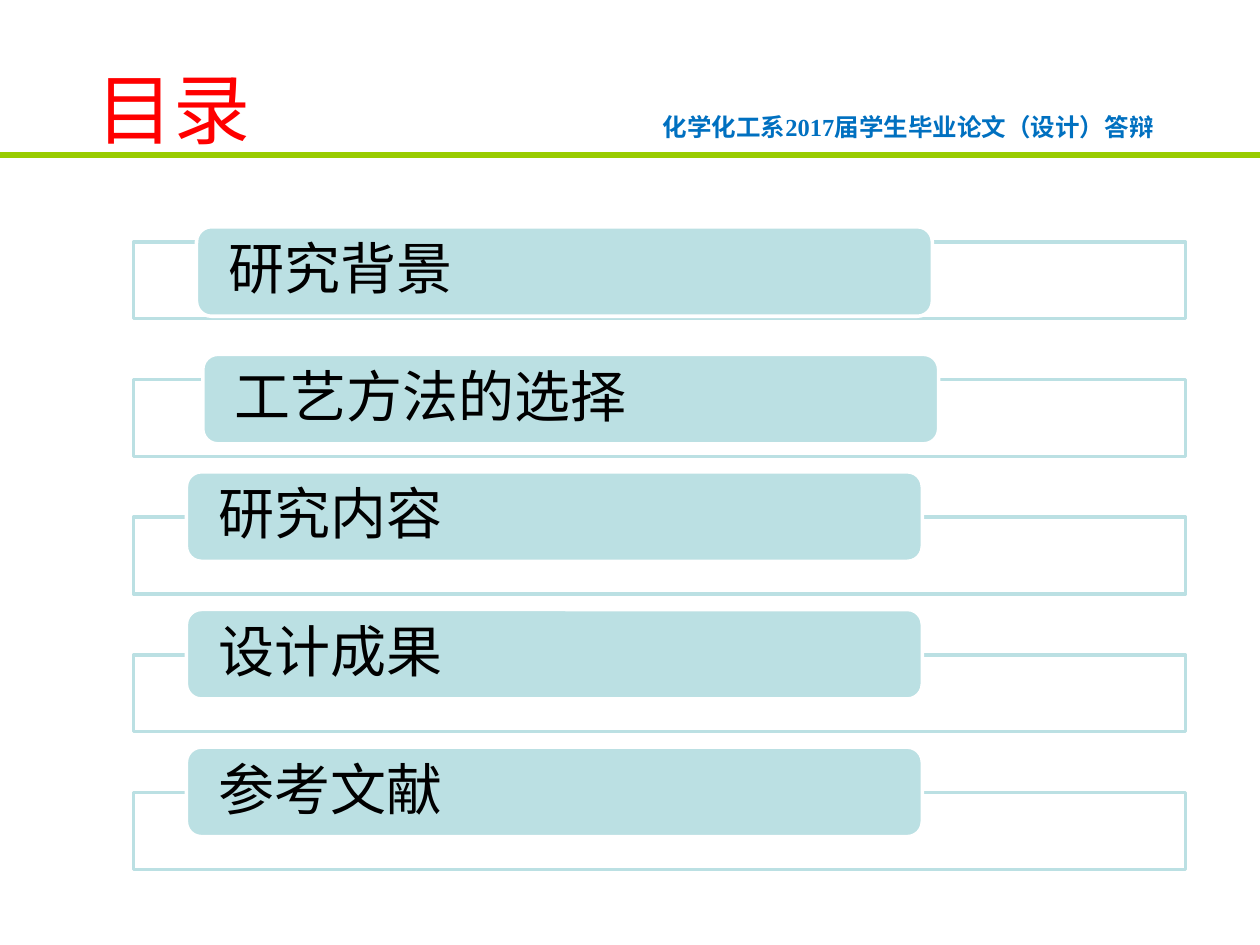
from lxml import etree
from pptx import Presentation
from pptx.dml.color import RGBColor
from pptx.enum.shapes import MSO_CONNECTOR, MSO_SHAPE
from pptx.enum.text import MSO_ANCHOR, PP_ALIGN
from pptx.oxml.ns import qn
from pptx.util import Inches, Pt

STRAIGHT = MSO_CONNECTOR.STRAIGHT
RECTANGLE = MSO_SHAPE.RECTANGLE
ROUNDED = MSO_SHAPE.ROUNDED_RECTANGLE
LEFT, CENTER = PP_ALIGN.LEFT, PP_ALIGN.CENTER
TOP, MIDDLE = MSO_ANCHOR.TOP, MSO_ANCHOR.MIDDLE

WHITE = RGBColor(0xFF, 0xFF, 0xFF)
BLACK = RGBColor(0, 0, 0)
RED = RGBColor(0xFF, 0, 0)
BLUE = RGBColor(0, 0x70, 0xC0)
GREEN = RGBColor(0x99, 0xCC, 0)
PALE_TEAL = RGBColor(0xBB, 0xE0, 0xE3)

# Section name, and the left and top offset of its label from its frame
SECTIONS = [
    ("研究背景", 0.5, -0.12),
    ("工艺方法的选择", 0.55, -0.2),
    ("研究内容", 0.42, -0.36),
    ("设计成果", 0.42, -0.36),
    ("参考文献", 0.42, -0.36),
]


def write_text(shape, text, *, size, font, color, bold=False, align=LEFT,
               anchor=TOP, margins=(0.1, 0.05), line_spacing=None):
    frame = shape.text_frame
    frame.word_wrap = True
    frame.vertical_anchor = anchor
    frame.margin_left = frame.margin_right = Inches(margins[0])
    frame.margin_top = frame.margin_bottom = Inches(margins[1])
    para = frame.paragraphs[0]
    para.alignment = align
    para.line_spacing = line_spacing
    span = para.add_run()
    span.text = text
    span.font.size = Pt(size)
    span.font.name = font
    span.font.bold = bold
    span.font.color.rgb = color


def add_text_box(page, box, text, **text_format):
    write_text(page.shapes.add_textbox(*map(Inches, box)), text, **text_format)


def add_panel(page, kind, box, fill, line):
    panel = page.shapes.add_shape(kind, *map(Inches, box))
    panel.shadow.inherit = False
    panel.fill.solid()
    panel.fill.fore_color.rgb = fill
    panel.line.color.rgb = line
    panel.line.width = Pt(2)
    return panel


def set_opacity(shape, percent):
    color = shape.fill._xPr.find(qn("a:solidFill"))[0]
    etree.SubElement(color, qn("a:alpha"), val=str(percent * 1000))


def add_header(page, left, top, width, height):
    """Place the title and the running head above a rule on the bottom edge."""
    bottom = top + height
    rule = page.shapes.add_connector(
        STRAIGHT, Inches(left), Inches(bottom), Inches(left + width), Inches(bottom))
    rule.line.color.rgb = GREEN
    rule.line.width = Pt(3)
    etree.SubElement(rule._element.spPr, qn("a:effectLst"))
    add_text_box(page, (left + 5.16, bottom - 0.39, 4.2, 0.34),
                 "化学化工系2017届学生毕业论文（设计）答辩",
                 size=14, font="Times New Roman", color=BLUE, bold=True)
    add_text_box(page, (left + 0.43, bottom - 0.79, 1.89, 0.84), "目录",
                 size=44, font="Noto Sans CJK SC", color=RED, align=CENTER)


def add_contents(page, left, top, width, height):
    """Spread the section frames evenly over the box, each with its label."""
    frame_height = 0.61
    pitch = (height - frame_height) / (len(SECTIONS) - 1)
    for index, (name, label_dx, label_dy) in enumerate(SECTIONS):
        frame_top = top + index * pitch
        frame = add_panel(page, RECTANGLE, (left, frame_top, width, frame_height),
                          WHITE, PALE_TEAL)
        set_opacity(frame, 90)
        label = add_panel(page, ROUNDED,
                          (left + label_dx, frame_top + label_dy, 5.84, 0.71),
                          PALE_TEAL, WHITE)
        write_text(label, name, size=32, font="Arial", color=BLACK,
                   anchor=MIDDLE, margins=(0.22, 0), line_spacing=0.9)


def main():
    deck = Presentation()
    deck.slide_width, deck.slide_height = Inches(10), Inches(7.5)
    page = deck.slides.add_slide(deck.slide_layouts[6])
    add_header(page, 0, 0, 10, 1.23)
    add_contents(page, 1.06, 1.92, 8.35, 4.98)
    deck.save("out.pptx")


if __name__ == "__main__":
    main()
